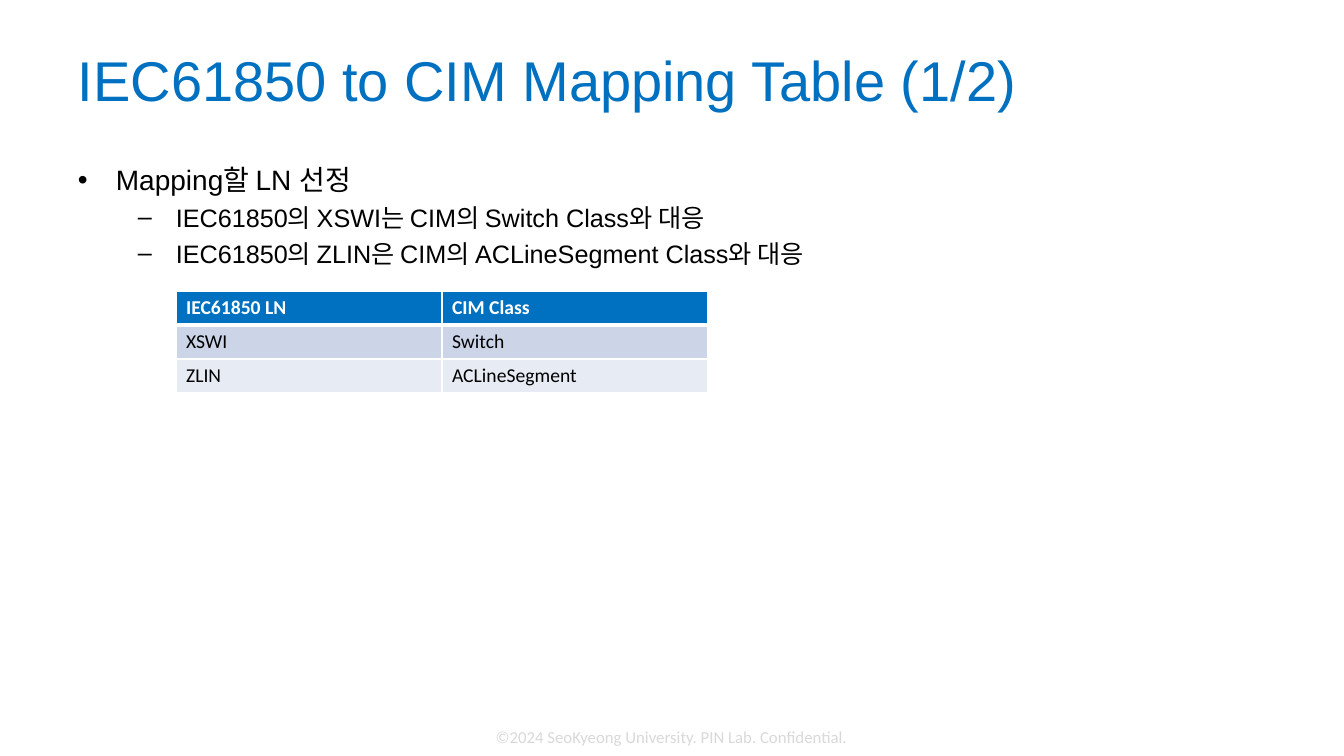
from lxml import etree
from pptx import Presentation
from pptx.dml.color import RGBColor
from pptx.enum.text import MSO_ANCHOR, PP_ALIGN
from pptx.oxml.ns import qn
from pptx.util import Pt

TOP, MIDDLE = MSO_ANCHOR.TOP, MSO_ANCHOR.MIDDLE
LEFT, CENTER = PP_ALIGN.LEFT, PP_ALIGN.CENTER
PX = 914400 / 100.8
COLORS = {
    "blue": "0070C0",
    "black": "000000",
    "white": "FFFFFF",
    "footer": "D9D9D9",
    "band_dark": "CCD5E8",
    "band_light": "E7EBF4",
}


def px(*lengths):
    return [round(length * PX) for length in lengths]


def style(para, size, face, color, bold=False):
    para.font.size = Pt(size)
    para.font.name = face
    para.font.bold = bold
    para.font.color.rgb = RGBColor.from_string(COLORS[color])


deck = Presentation()
deck.slide_width, deck.slide_height = px(1344, 756)
page = deck.slides.add_slide(deck.slide_layouts[6])

bullets = [
    ("Mapping할 LN 선정", 0, "•", 38, 20),
    ("IEC61850의 XSWI는 CIM의 Switch Class와 대응", 1, "–", 98, 18),
    ("IEC61850의 ZLIN은 CIM의 ACLineSegment Class와 대응", 1, "–", 98, 18),
]
frames = []
for bounds, anchor in [
    ((440, 722, 463, 30), MIDDLE),
    ((68, 30, 1106, 104), MIDDLE),
    ((68, 158, 1210, 547), TOP),
]:
    box = page.shapes.add_textbox(*px(*bounds))
    box.text_frame.word_wrap = True
    box.text_frame.vertical_anchor = anchor
    frames.append(box.text_frame)
footer, title, body = frames

para = footer.paragraphs[0]
para.text = "©2024 SeoKyeong University. PIN Lab. Confidential."
para.alignment = CENTER
style(para, 12, "Calibri", "footer")

para = title.paragraphs[0]
para.text = "IEC61850 to CIM Mapping Table (1/2)"
para.alignment = LEFT
para.line_spacing = Pt(43.2)
style(para, 40, "Arial", "blue")

for index, (text, level, mark, margin, size) in enumerate(bullets):
    para = body.add_paragraph() if index else body.paragraphs[0]
    para.text = text
    para.level = level
    para.space_before = Pt(4 if index else 0)
    props = para._p.get_or_add_pPr()
    props.set("marL", str(px(margin)[0]))
    props.set("indent", str(px(-38)[0]))
    etree.SubElement(props, qn("a:buFont"), typeface="Arial")
    etree.SubElement(props, qn("a:buChar"), char=mark)
    style(para, size, "Arial", "black")

mapping = [
    ("IEC61850 LN", "CIM Class"),
    ("XSWI", "Switch"),
    ("ZLIN", "ACLineSegment"),
]
row_fills = ["blue", "band_dark", "band_light"]
table = page.shapes.add_table(3, 2, *px(176, 291, 532, 102)).table
for row_index, (values, fill) in enumerate(zip(mapping, row_fills)):
    header = row_index == 0
    for column_index, value in enumerate(values):
        cell = table.cell(row_index, column_index)
        cell.fill.solid()
        cell.fill.fore_color.rgb = RGBColor.from_string(COLORS[fill])
        para = cell.text_frame.paragraphs[0]
        para.text = value
        style(para, 14, "Calibri", "white" if header else "black", header)
        for order, side in enumerate(["lnL", "lnR", "lnT", "lnB"]):
            thick = (header and side == "lnB") or (row_index == 1 and side == "lnT")
            edge = etree.Element(qn("a:" + side), w=str(Pt(3 if thick else 1)))
            paint = etree.SubElement(edge, qn("a:solidFill"))
            etree.SubElement(paint, qn("a:srgbClr"), val=COLORS["white"])
            cell._tc.get_or_add_tcPr().insert(order, edge)

deck.save("out.pptx")
